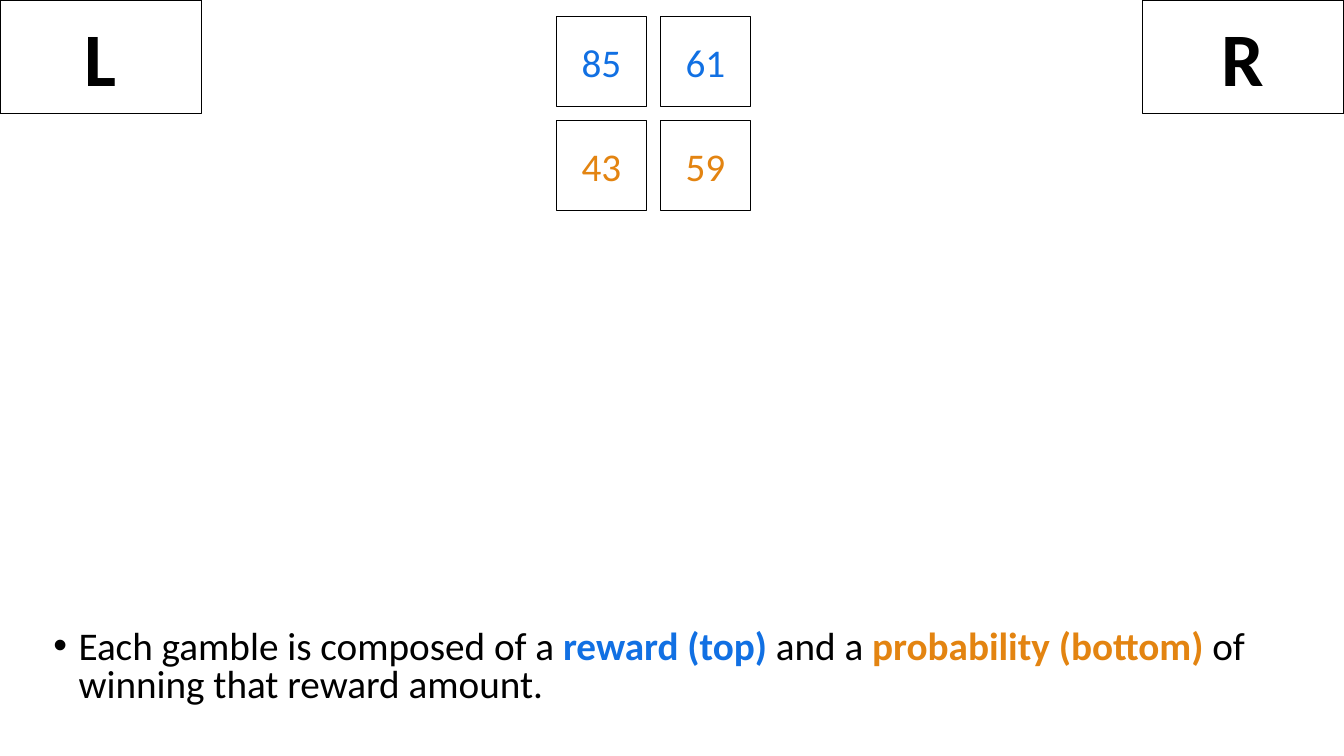
from dataclasses import dataclass

from lxml import etree
from pptx import Presentation
from pptx.dml.color import RGBColor
from pptx.enum.shapes import MSO_SHAPE
from pptx.enum.text import MSO_ANCHOR, PP_ALIGN
from pptx.oxml.ns import qn
from pptx.util import Pt

RECT = MSO_SHAPE.RECTANGLE
MIDDLE, TOP = MSO_ANCHOR.MIDDLE, MSO_ANCHOR.TOP
CENTER, LEFT = PP_ALIGN.CENTER, PP_ALIGN.LEFT


@dataclass(frozen=True)
class Theme:
    font: str = "Calibri"
    ink: RGBColor = RGBColor(0x00, 0x00, 0x00)
    paper: RGBColor = RGBColor(0xFF, 0xFF, 0xFF)
    reward: RGBColor = RGBColor(0x11, 0x70, 0xE3)
    probability: RGBColor = RGBColor(0xE3, 0x84, 0x11)
    body: int = 28
    key: int = 54
    line: int = 1


THEME = Theme()
SLIDE_W, SLIDE_H = 960, 540
KEY_W, KEY_H = 144, 81


def add_run(p, text, color, size=THEME.body, bold=False):
    r = p.add_run()
    r.text = text
    r.font.color.rgb = color
    fmt = {"name": THEME.font, "size": Pt(size), "bold": bold}
    for name, value in fmt.items():
        setattr(r.font, name, value)


def add_box(shapes, box, text, color, size=THEME.body, bold=False, fill=None):
    """Outlined rectangle with one centred label; unfilled unless fill is given."""
    sp = shapes.add_shape(RECT, *map(Pt, box))
    sp.shadow.inherit = False
    if fill is None:
        sp.fill.background()
    else:
        sp.fill.solid()
        sp.fill.fore_color.rgb = fill
    sp.line.color.rgb = THEME.ink
    sp.line.width = Pt(THEME.line)
    tf = sp.text_frame
    tf.vertical_anchor = MIDDLE
    p = tf.paragraphs[0]
    p.alignment = CENTER
    add_run(p, text, color, size, bold)


def add_response_keys(s, box):
    """Left and right key labels in the top corners of the box."""
    x, y, w, _ = box
    for text, left in (("L", x), ("R", x + w - KEY_W)):
        add_box(s.shapes, (left, y, KEY_W, KEY_H), text, THEME.ink,
                THEME.key, True, THEME.paper)


def add_gambles(s, box, rows, gap=10):
    """Grid of square cells, one group per row of (color, values)."""
    x, y, w, _ = box
    columns = len(rows[0][1])
    side = (w - gap * (columns - 1)) / columns
    for i, (color, values) in enumerate(rows):
        group = s.shapes.add_group_shape()
        for j, value in enumerate(values):
            cell = (x + j * (side + gap), y + i * (side + gap), side, side)
            add_box(group.shapes, cell, str(value), color)


def add_explanation(s, box, parts):
    """Bulleted paragraph made of (text, color, bold) parts."""
    tf = s.shapes.add_textbox(*map(Pt, box)).text_frame
    tf.word_wrap = True
    tf.vertical_anchor = TOP
    p = tf.paragraphs[0]
    p.alignment = LEFT
    p.line_spacing = 0.8
    pPr = p._p.get_or_add_pPr()
    pPr.set("marL", str(Pt(18)))
    pPr.set("indent", str(Pt(-18)))
    etree.SubElement(pPr, qn("a:buFont")).set("typeface", "Arial")
    etree.SubElement(pPr, qn("a:buChar")).set("char", "•")
    for text, color, bold in parts:
        add_run(p, text, color, bold=bold)


def main():
    prs = Presentation()
    prs.slide_width, prs.slide_height = Pt(SLIDE_W), Pt(SLIDE_H)
    s = prs.slides.add_slide(prs.slide_layouts[6])
    add_explanation(s, (31, 447, 898.5, 64), [
        ("Each gamble is composed of a ", THEME.ink, False),
        ("reward (top) ", THEME.reward, True),
        ("and a ", THEME.ink, False),
        ("probability (bottom) ", THEME.probability, True),
        ("of winning that reward amount.", THEME.ink, False),
    ])
    add_response_keys(s, (0, 0, SLIDE_W, SLIDE_H))
    add_gambles(s, (397.5, 12, 138.4, 138.4), [
        (THEME.reward, (85, 61)),
        (THEME.probability, (43, 59)),
    ])
    prs.save("out.pptx")


if __name__ == "__main__":
    main()
